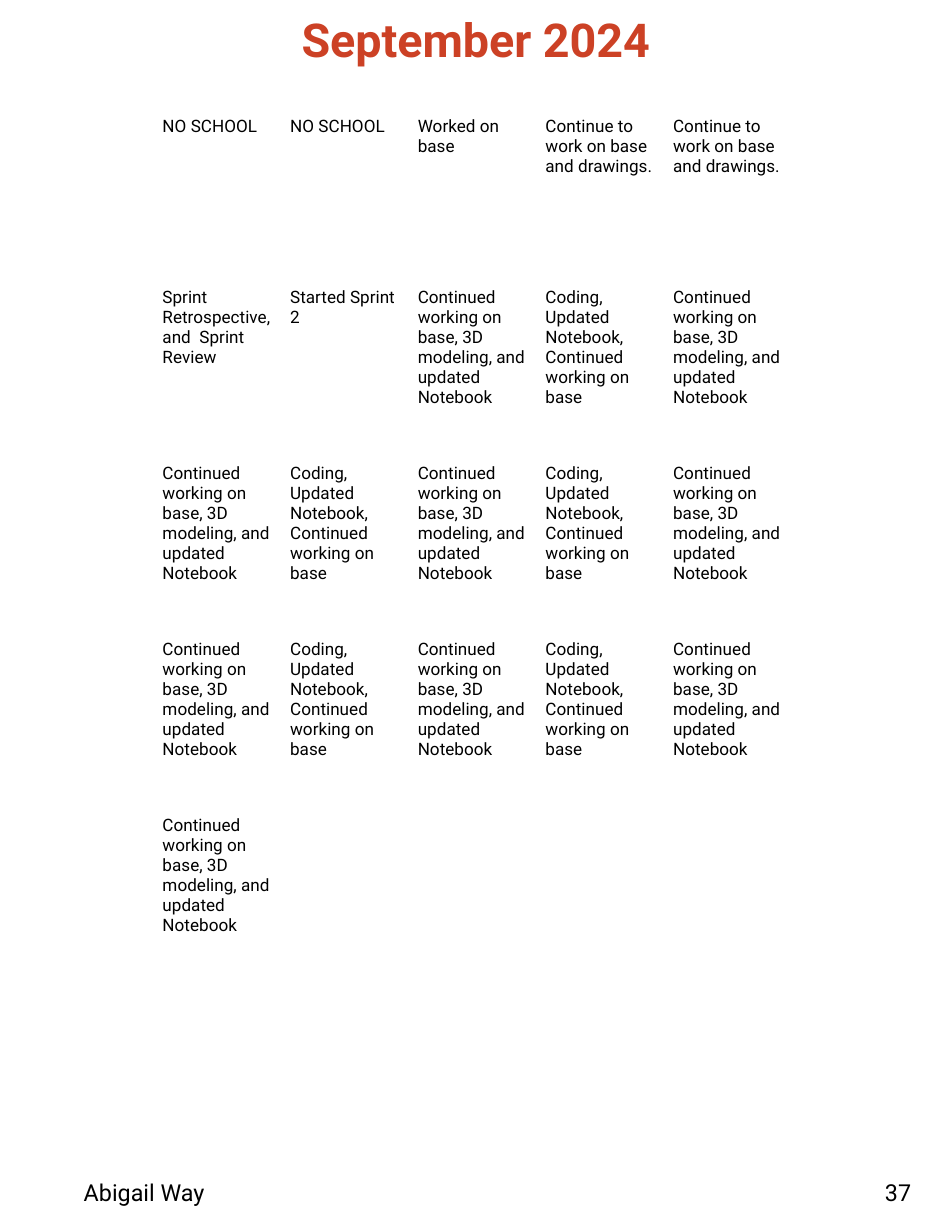
from dataclasses import dataclass

from pptx import Presentation
from pptx.dml.color import RGBColor
from pptx.enum.text import MSO_ANCHOR as Anchor, PP_ALIGN as Align
from pptx.util import Cm, Pt


@dataclass(frozen=True)
class Theme:
    font: str = "Roboto"
    ink: str = "000000"
    accent: str = "CC4125"
    paper: str = "FFFFFF"
    title_size: int = 30
    footer_size: int = 15
    cell_size: int = 11


THEME = Theme()
COLUMNS = 7
ROW_HEIGHTS = [3.89] + [3.99] * 5

MODELING = "Continued working on base, 3D modeling, and updated Notebook"
CODING = "Coding, Updated Notebook, Continued working on base"
DRAWINGS = "Continue to work on base and drawings."
FULL_WEEK = [MODELING, CODING, MODELING, CODING, MODELING]

# School days only; the first and last columns are the weekend.
WEEKS = [
    ["NO SCHOOL", "NO SCHOOL", "Worked on base", DRAWINGS, DRAWINGS],
    ["Sprint Retrospective, and  Sprint Review", "Started Sprint 2",
     MODELING, CODING, MODELING],
    FULL_WEEK,
    FULL_WEEK,
    [MODELING],
]


def set_attributes(target, values):
    for name, value in values.items():
        setattr(target, name, value)


def write_text(para, text, size, color=THEME.ink, bold=False):
    span = para.add_run()
    span.text = text
    set_attributes(span.font, {"name": THEME.font, "size": Pt(size), "bold": bold})
    span.font.color.rgb = RGBColor.from_string(color)


def add_label(page, text, left, top, width, height, size, align=Align.LEFT, **style):
    box = page.shapes.add_textbox(Cm(left), Cm(top), Cm(width), Cm(height))
    set_attributes(box.text_frame, {
        "word_wrap": True, "vertical_anchor": Anchor.TOP,
        "margin_left": 0, "margin_top": 0, "margin_right": 0, "margin_bottom": 0,
    })
    para = box.text_frame.paragraphs[0]
    para.alignment = align
    write_text(para, text, size, **style)


def add_calendar(page, left, top, width):
    frame = page.shapes.add_table(len(ROW_HEIGHTS), COLUMNS, Cm(left), Cm(top),
                                  Cm(width), Cm(sum(ROW_HEIGHTS)))
    table = frame.table
    set_attributes(table, {"first_row": False, "horz_banding": False})
    for column in table.columns:
        column.width = Cm(width / COLUMNS)
    for row, height in zip(table.rows, ROW_HEIGHTS):
        row.height = Cm(height)
    for cell in table.iter_cells():
        cell.fill.solid()
        cell.fill.fore_color.rgb = RGBColor.from_string(THEME.paper)
        set_attributes(cell, {
            "margin_left": Cm(0.13), "margin_top": Cm(0.51),
            "margin_right": Cm(0.13), "margin_bottom": Cm(0.13),
        })
    for week_index, week in enumerate(WEEKS):
        for day, entry in enumerate(week, start=1):
            para = table.cell(week_index, day).text_frame.paragraphs[0]
            write_text(para, entry, THEME.cell_size)


def main():
    deck = Presentation()
    set_attributes(deck, {"slide_width": Cm(21.59), "slide_height": Cm(27.94)})
    page = deck.slides.add_slide(deck.slide_layouts[6])
    add_label(page, "Abigail Way", 1.9, 26.72, 8.89, 0.64, THEME.footer_size)
    add_label(page, "37", 20.07, 26.72, 1.35, 0.64, THEME.footer_size)
    add_label(page, "September 2024", 0.66, 0.25, 20.27, 1.12, THEME.title_size,
              align=Align.CENTER, color=THEME.accent, bold=True)
    add_calendar(page, 0.66, 2.13, 20.27)
    deck.save("out.pptx")


if __name__ == "__main__":
    main()
